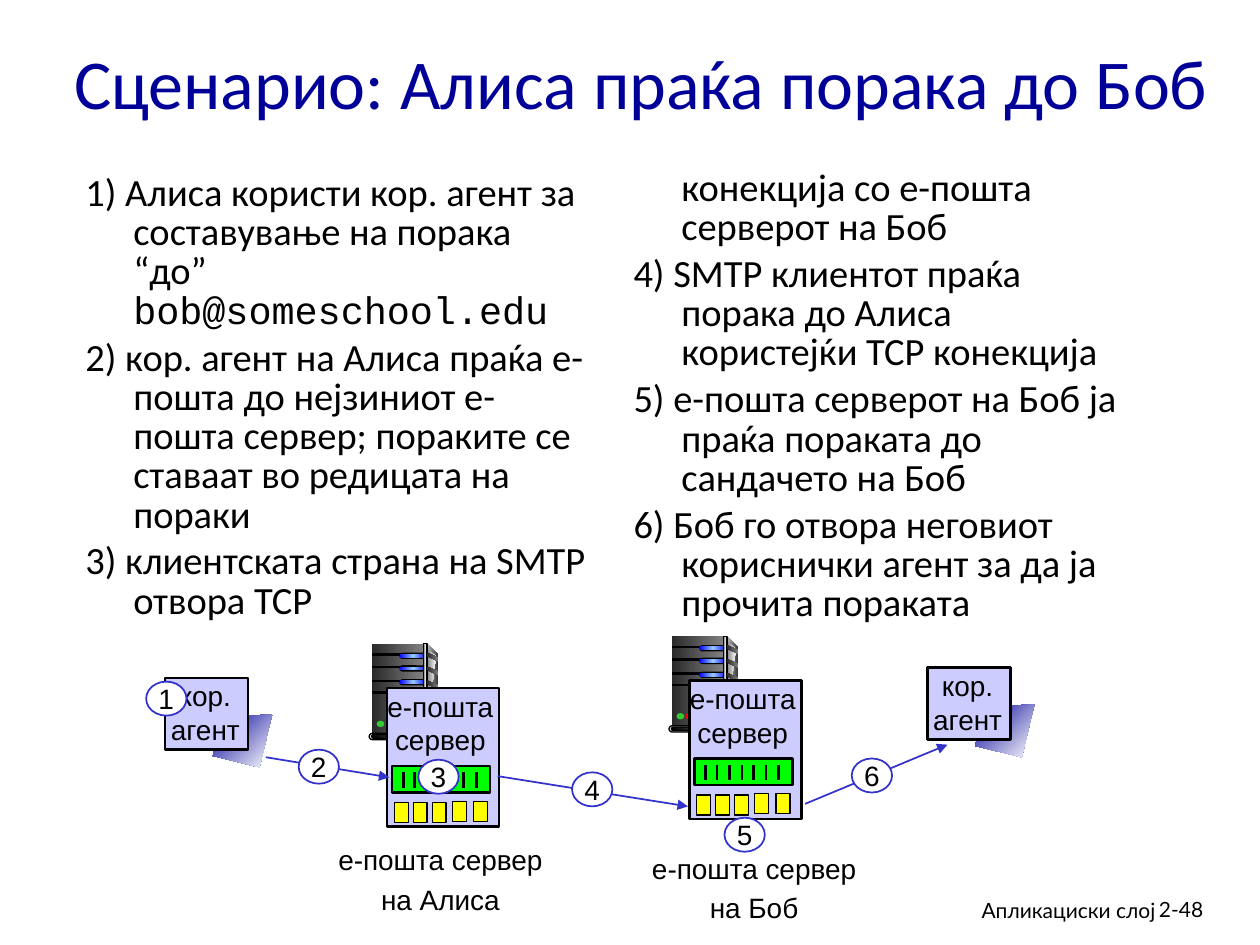
"""Build the slide on how a mail from Alice reaches Bob."""
import copy

import pptx
import pptx.dml.color
import pptx.enum.shapes
import pptx.enum.text
import pptx.oxml
import pptx.oxml.ns
import pptx.util

UNIT = 9144
HUES = {
    "black": "000000", "white": "FFFFFF", "navy": "000099", "blue": "3333CC",
    "pale": "CCCCFF", "green": "00FF00", "yellow": "FFFF00", "coal": "292929",
    "dark": "333333", "gray": "808080", "light": "DDDDDD", "mist": "F8F8F8",
    "royal": "0000FF", "sky": "99CCFF", "lamp": "33CC33", "red": "FF0000",
}
KIND = pptx.enum.shapes.MSO_SHAPE
ALIGN = pptx.enum.text.PP_ALIGN
ANCHOR = pptx.enum.text.MSO_ANCHOR
GLOW = ("royal", "sky", "royal")
SHADE = ("coal", "gray")


def px(*nums):
    return [pptx.util.Emu(num * UNIT) for num in nums]


def hue(name):
    return pptx.dml.color.RGBColor.from_string(HUES[name])


class Board:
    """Draws styled elements on the current slide."""

    def __init__(self, slide):
        self.slide = slide
        self.pool = slide.shapes

    def group(self):
        self.pool = self.slide.shapes.add_group_shape().shapes

    def leave(self):
        self.pool = self.slide.shapes

    def paint(self, shape, fill, edge=None, width=1, angle=0):
        shape.shadow.inherit = False
        if isinstance(fill, str):
            shape.fill.solid()
            shape.fill.fore_color.rgb = hue(fill)
        else:
            shape.fill.gradient()
            shape.fill.gradient_angle = angle
            stops = shape._element.spPr.find(".//" + pptx.oxml.ns.qn("a:gsLst"))
            for _ in fill[2:]:
                stops.insert(1, copy.deepcopy(stops[0]))
            for i, stop in enumerate(shape.fill.gradient_stops):
                stop.position = i / (len(fill) - 1)
                stop.color.rgb = hue(fill[i])
        if edge:
            shape.line.color.rgb = hue(edge)
            shape.line.width = pptx.util.Pt(width)
        else:
            shape.line.fill.background()

    def shape(self, kind, box, fill, edge=None, width=1):
        shape = self.pool.add_shape(kind, *px(*box))
        if kind == KIND.ROUNDED_RECTANGLE:
            shape.adjustments[0] = 0.5
        self.paint(shape, fill, edge, width)
        return shape

    def free(self, x, y, dots, fill, angle=0):
        dots = [(x + dx, y + dy) for dx, dy in dots]
        form = self.pool.build_freeform(*dots[0], scale=UNIT)
        form.add_line_segments(dots[1:], close=True)
        self.paint(form.convert_to_shape(), fill, angle=angle)

    def line(self, start, end, color, width, arrow=False):
        link = self.pool.add_connector(
            pptx.enum.shapes.MSO_CONNECTOR.STRAIGHT, *px(*start, *end))
        link.line.color.rgb = hue(color)
        link.line.width = pptx.util.Pt(width)
        props = link._element.spPr
        space = pptx.oxml.ns.nsdecls("a")
        if arrow:
            props.find(pptx.oxml.ns.qn("a:ln")).append(
                pptx.oxml.parse_xml(f'<a:tailEnd {space} type="triangle"/>'))
        props.append(pptx.oxml.parse_xml(f"<a:effectLst {space}/>"))

    def words(self, frame, rows, size=16, face="Arial", align=ALIGN.CENTER,
              gap=0, color="black"):
        for i, row in enumerate(rows):
            para = frame.add_paragraph() if i else frame.paragraphs[0]
            para.text = row
            para.alignment = align
            para.space_before = pptx.util.Pt(gap if i else 0)
            para.font.size = pptx.util.Pt(size)
            para.font.name = face
            para.font.color.rgb = hue(color)
        return frame

    def text(self, box, rows, wrap=False, **style):
        frame = self.pool.add_textbox(*px(*box)).text_frame
        frame.word_wrap = wrap
        return self.words(frame, rows, **style)

    def title(self, box, label):
        shape = self.slide.shapes.title
        shape.left, shape.top, shape.width, shape.height = px(*box)
        frame = shape.text_frame
        frame.vertical_anchor = ANCHOR.MIDDLE
        self.words(frame, [label], 40, "Calibri", ALIGN.LEFT, color="navy")

    def steps(self, box, rows):
        frame = self.text(box, rows, True, size=22, face="Calibri",
                          align=ALIGN.LEFT, gap=4.4)
        for para in frame.paragraphs:
            para.line_spacing = 0.85
            props = para._p.get_or_add_pPr()
            hang = 38 * UNIT
            props.set("marL", str(hang))
            props.set("indent", str(-hang if para.text[0].isdigit() else 0))
        return frame

    def agent(self, x, y):
        self.group()
        self.free(x, y, [(85, 29), (45, 31), (38, 62), (75, 71)],
                  ("navy", "white"), 315)
        self.shape(KIND.RECTANGLE, (x, y, 66, 57), "pale", "black", 1.5)
        self.text((x - 6, y - 4, 76, 64), ["кор.", "агент"])
        self.leave()

    def tower(self, x, y):
        bar, pill = KIND.RECTANGLE, KIND.ROUNDED_RECTANGLE
        self.group()
        self.free(x, y, [(46, 0), (55, 9), (55, 69), (44, 72)],
                  ("light", "dark"))
        self.shape(bar, (x + 2, y, 41, 72), SHADE)
        self.free(x, y, [(46, 4), (53, 10), (48, 50), (46, 70)],
                  ("gray", "mist"))
        for dy in (8, 18, 29, 38):
            self.shape(bar, (x + 3, y + dy, 23, 1), "black", "black", 0.75)
        for dy in (7, 17, 28):
            self.shape(pill, (x + 24, y + dy, 23, 5), "black")
            self.shape(pill, (x + 24, y + dy + 1, 22, 3), GLOW)
        self.shape(bar, (x + 43, y, 3, 72), ("dark", "light", "dark"),
                   "black", 0.75)
        for dy in (7, 18, 29):
            self.free(x, y + dy, [(46, 0), (55, 4), (55, 7), (46, 3)], SHADE)
        self.shape(pill, (x, y + 71, 47, 5), "light", "black", 0.75)
        self.shape(pill, (x + 2, y + 72, 42, 3), ("black", "gray"),
                   "black", 0.75)
        for dx, color in ((6, "lamp"), (13, "red")):
            self.shape(KIND.OVAL, (x + dx, y + 61, 6, 5), color)
        self.leave()

    def mail(self, x, y):
        bar = KIND.RECTANGLE
        self.group()
        self.shape(bar, (x, y, 89, 110), "pale", "black", 1.5)
        self.text((x - 10, y - 4, 105, 64), ["е-пошта", "сервер"])
        self.shape(bar, (x + 4, y + 62, 78, 21), "green", "black", 1.5)
        for i in range(7):
            dx = x + 13 + i * 29 // 3
            self.line((dx, y + 67), (dx, y + 79), "black", 1.5)
        for dx, dy in ((6, 91), (21, 91), (36, 91), (52, 90), (69, 90)):
            self.shape(bar, (x + dx, y + dy, 11, 16), "yellow", "black", 0.75)
        self.leave()

    def badge(self, x, y, num):
        frame = self.shape(KIND.OVAL, (x, y, 32, 27), "white", "blue").text_frame
        frame.word_wrap = False
        frame.vertical_anchor = ANCHOR.MIDDLE
        self.words(frame, [str(num)])


def main():
    deck = pptx.Presentation()
    deck.slide_width, deck.slide_height = px(1000, 750)
    board = Board(deck.slides.add_slide(deck.slide_layouts[5]))
    board.title((49, 2, 936, 125), "Сценарио: Алиса праќа порака до Боб")
    board.text((610, 707, 317, 31), ["Апликациски слој"], True,
               size=12, face="Lato", align=ALIGN.RIGHT)
    board.text((910, 707, 74, 30), ["2-48"], True,
               size=12, face="Lato", align=ALIGN.LEFT)
    board.agent(131, 538)
    board.tower(531, 505)
    board.tower(293, 511)
    left = board.steps((58, 134, 417, 352), [
        "1) Алиса користи кор. агент за составување на порака “до” ",
        "2) кор. агент на Алиса праќа е-пошта до нејзиниот е-пошта сервер; "
        "пораките се ставаат во редицата на пораки",
        "3) клиентската страна на SMTP отвора TCP"])
    run = left.paragraphs[0].add_run()
    run.text = "bob@someschool.edu"
    run.font.name = "Courier New"
    board.steps((493, 130, 417, 357), [
        "конекција со е-пошта серверот на Боб",
        "4) SMTP клиентот праќа порака до Алиса користејќи TCP конекција",
        "5) е-пошта серверот на Боб ја праќа пораката до сандачето на Боб",
        "6) Боб го отвора неговиот кориснички агент за да ја прочита пораката"])
    board.mail(307, 546)
    board.mail(547, 540)
    for start, end in (((211, 601), (309, 617)), ((395, 616), (546, 640)),
                       ((639, 638), (752, 591))):
        board.line(start, end, "blue", 1, True)
    spots = ((116, 541), (237, 595), (332, 603), (454, 613), (575, 649), (676, 602))
    for num, spot in enumerate(spots, 1):
        board.badge(*spot, num)
    for x, y, name in ((254, 664, "Алиса"), (503, 671, "Боб")):
        board.text((x, y, 191, 69), ["е-пошта сервер", f"на {name}"], gap=3.2)
    board.agent(736, 530)
    deck.save("out.pptx")


if __name__ == "__main__":
    main()
